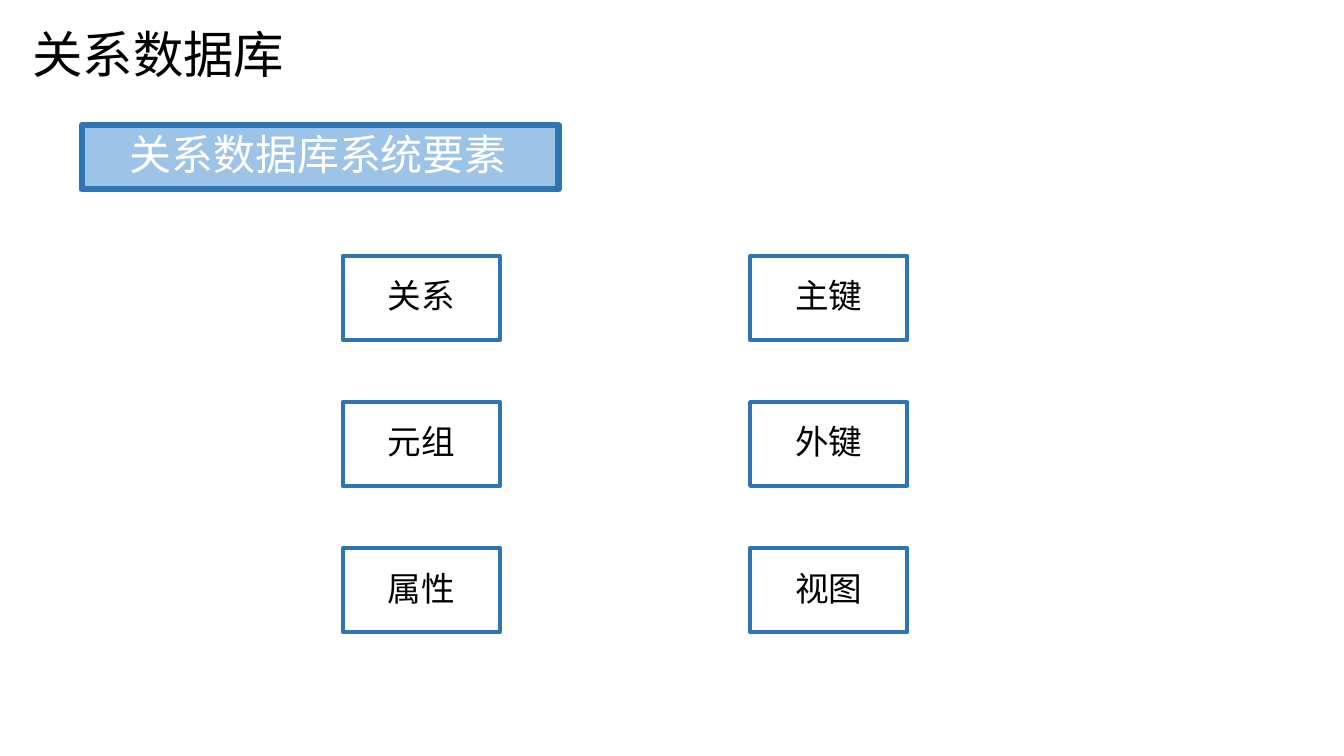
from dataclasses import dataclass

import lxml.etree
import pptx
import pptx.dml.color
import pptx.enum.shapes
import pptx.enum.text
import pptx.oxml.ns
import pptx.slide
import pptx.text.text
import pptx.util
from pptx.util import Inches

BLACK = pptx.dml.color.RGBColor(0x00, 0x00, 0x00)
WHITE = pptx.dml.color.RGBColor(0xFF, 0xFF, 0xFF)
BLUE = pptx.dml.color.RGBColor(0x2E, 0x75, 0xB6)
LIGHT_BLUE = pptx.dml.color.RGBColor(0x9D, 0xC3, 0xE6)
FONT = "Noto Sans CJK SC"
LEFT = pptx.enum.text.PP_ALIGN.LEFT
CENTER = pptx.enum.text.PP_ALIGN.CENTER

COLUMNS = (("关系", "元组", "属性"), ("主键", "外键", "视图"))
GRID_LEFT, GRID_TOP = 3.4, 2.54
COLUMN_STEP, ROW_STEP = 4.04, 1.45
ELEMENT_WIDTH, ELEMENT_HEIGHT = 1.56, 0.83


@dataclass(frozen=True)
class Label:
    text: str
    size: float
    color: pptx.dml.color.RGBColor
    align: pptx.enum.text.PP_ALIGN
    inset_x: float
    inset_y: float
    line_spacing: float


@dataclass(frozen=True)
class Panel:
    left: float
    top: float
    width: float
    height: float
    line_width: float
    fill: pptx.dml.color.RGBColor | None
    label: Label


def write_label(frame: pptx.text.text.TextFrame, label: Label) -> None:
    frame.word_wrap = True
    frame.vertical_anchor = pptx.enum.text.MSO_ANCHOR.MIDDLE
    frame.margin_left = frame.margin_right = Inches(label.inset_x)
    frame.margin_top = frame.margin_bottom = Inches(label.inset_y)
    paragraph = frame.paragraphs[0]
    paragraph.text = label.text
    paragraph.alignment = label.align
    paragraph.line_spacing = label.line_spacing
    font = paragraph.font
    font.size = pptx.util.Pt(label.size)
    font.color.rgb = label.color
    font.name = FONT
    properties = paragraph._p.pPr.find(pptx.oxml.ns.qn("a:defRPr"))
    lxml.etree.SubElement(properties, pptx.oxml.ns.qn("a:ea"), typeface=FONT)


def draw_panel(page: pptx.slide.Slide, panel: Panel) -> None:
    box = page.shapes.add_shape(
        pptx.enum.shapes.MSO_SHAPE.RECTANGLE,
        Inches(panel.left),
        Inches(panel.top),
        Inches(panel.width),
        Inches(panel.height),
    )
    box.shadow.inherit = False
    if panel.fill is None:
        box.fill.background()
    else:
        box.fill.solid()
        box.fill.fore_color.rgb = panel.fill
    box.line.color.rgb = BLUE
    box.line.width = pptx.util.Pt(panel.line_width)
    outline = box._element.spPr.find(pptx.oxml.ns.qn("a:ln"))
    lxml.etree.SubElement(outline, pptx.oxml.ns.qn("a:round"))
    write_label(box.text_frame, panel.label)


def draw_title(page: pptx.slide.Slide) -> None:
    title = page.shapes.add_textbox(Inches(0.21), Inches(0), Inches(7.43), Inches(1.06))
    write_label(title.text_frame, Label("关系数据库", 36, BLACK, LEFT, 0.11, 0.06, 1.0))


def main() -> None:
    deck = pptx.Presentation()
    deck.slide_width = Inches(13.33)
    deck.slide_height = Inches(7.5)
    page = deck.slides.add_slide(deck.slide_layouts[6])

    draw_title(page)
    heading = Label("关系数据库系统要素", 30, WHITE, LEFT, 0.47, 0, 0.9)
    draw_panel(page, Panel(0.81, 1.24, 4.73, 0.64, 4.33, LIGHT_BLUE, heading))
    for column, names in enumerate(COLUMNS):
        for row, name in enumerate(names):
            element = Panel(
                left=GRID_LEFT + column * COLUMN_STEP,
                top=GRID_TOP + row * ROW_STEP,
                width=ELEMENT_WIDTH,
                height=ELEMENT_HEIGHT,
                line_width=3,
                fill=None,
                label=Label(name, 24, BLACK, CENTER, 0.1, 0.1, 0.9),
            )
            draw_panel(page, element)

    deck.save("out.pptx")


if __name__ == "__main__":
    main()
